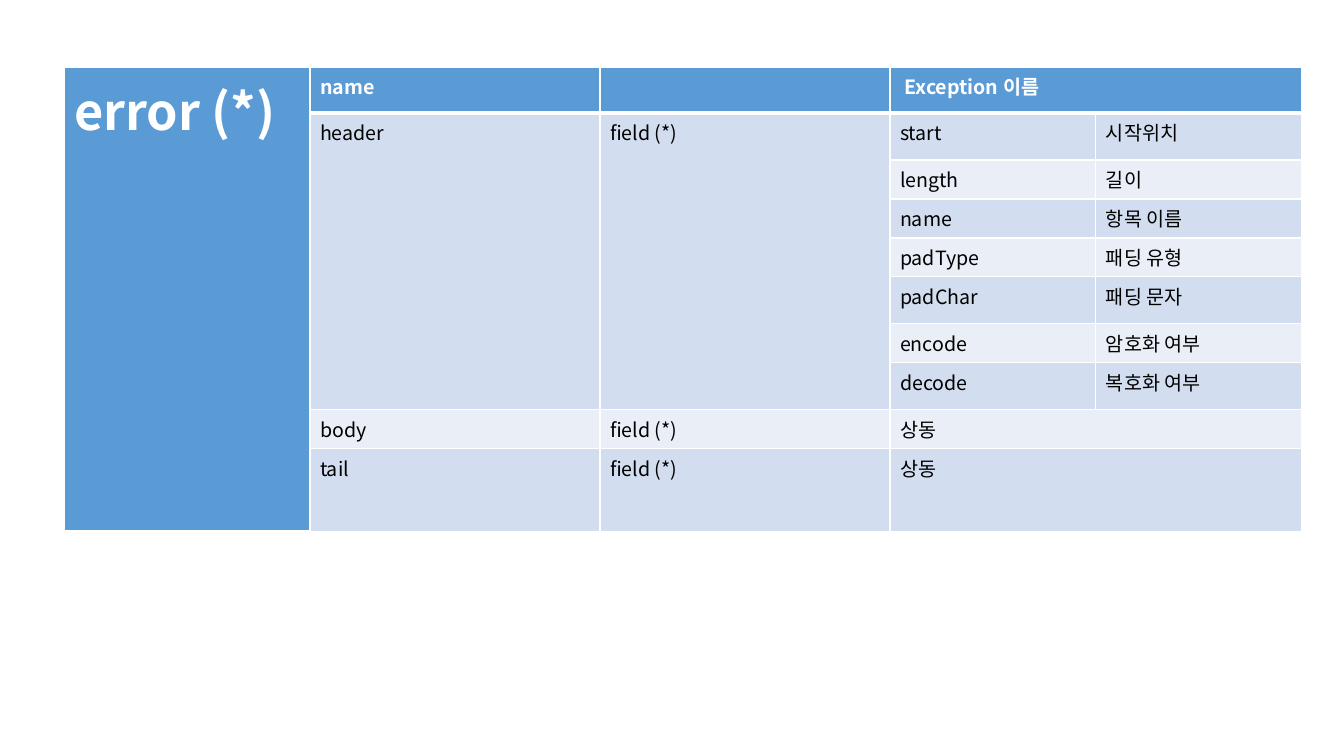
from lxml.etree import SubElement
from pptx import Presentation
from pptx.dml.color import RGBColor
from pptx.oxml.ns import qn
from pptx.util import Emu, Pt

# Content: fields of a section, with their meaning
FIELDS = [
    ("start", "시작위치"),
    ("length", "길이"),
    ("name", "항목 이름"),
    ("padType", "패딩 유형"),
    ("padChar", "패딩 문자"),
    ("encode", "암호화 여부"),
    ("decode", "복호화 여부"),
]
REPEAT = "field (*)"
HEADINGS = ("error (*)", "name", "", " Exception 이름", "")
SECTIONS = [("body", "상동"), ("tail", "상동")]

ROWS = [HEADINGS]
ROWS += [("", "" if i else "header", "" if i else REPEAT, *field)
         for i, field in enumerate(FIELDS)]
ROWS += [("", section, REPEAT, same, "") for section, same in SECTIONS]

# Layout in pixels
LEFT, TOP = 64, 67
COLUMN_WIDTHS = (246, 290, 290, 206, 206)
ROW_HEIGHTS = (46, 47, 39, 39, 39, 47, 39, 47, 39, 82)
LAST_FIELD = len(FIELDS)
LAST_ROW = len(ROWS) - 1
MERGES = [((0, 0), (LAST_ROW, 0)), ((0, 3), (0, 4)),
          ((1, 1), (LAST_FIELD, 1)), ((1, 2), (LAST_FIELD, 2))]
MERGES += [((r, 3), (r, 4)) for r in range(LAST_FIELD + 1, LAST_ROW + 1)]

FONT = "Noto Sans CJK KR"
BLUE, WHITE, BLACK = "5B9BD5", "FFFFFF", "000000"
BANDS = ("EAEFF7", "D2DEEF")


def px(pixels):
    return Emu(round(pixels * 914400 / 100.8))


def color(hex_string):
    return RGBColor.from_string(hex_string)


def set_border(cell, side, points):
    line = SubElement(cell._tc.get_or_add_tcPr(), qn(f"a:ln{side}"), w=str(Pt(points)))
    fill = SubElement(line, qn("a:solidFill"))
    SubElement(fill, qn("a:srgbClr"), val=WHITE)


def format_cell(cell, r, c):
    heading = r == 0 or c == 0
    # Borders, with a thick rule under the headings
    for side in "LRTB":
        thick = (side == "B" and r == 0) or (side == "T" and r == 1)
        set_border(cell, side, 3 if thick else 1)
    cell.fill.solid()
    cell.fill.fore_color.rgb = color(BLUE if heading else BANDS[r % 2])
    # Text
    paragraph = cell.text_frame.paragraphs[0]
    font = paragraph.font
    font.size = Pt(36 if (r, c) == (0, 0) else 14)
    font.bold = heading
    font.color.rgb = color(WHITE if heading else BLACK)
    font.name = FONT
    SubElement(paragraph._p.pPr.find(qn("a:defRPr")), qn("a:ea"), typeface=FONT)


deck = Presentation()
deck.slide_width, deck.slide_height = px(1344), px(756)
slide = deck.slides.add_slide(deck.slide_layouts[6])

# Message structure table
structure = slide.shapes.add_table(
    len(ROWS), len(COLUMN_WIDTHS), px(LEFT), px(TOP),
    px(sum(COLUMN_WIDTHS)), px(sum(ROW_HEIGHTS))).table
for column, width in zip(structure.columns, COLUMN_WIDTHS):
    column.width = px(width)
for row, height in zip(structure.rows, ROW_HEIGHTS):
    row.height = px(height)

for r, texts in enumerate(ROWS):
    for c, text in enumerate(texts):
        cell = structure.cell(r, c)
        if text:
            cell.text = text
        format_cell(cell, r, c)
for first, last in MERGES:
    structure.cell(*first).merge(structure.cell(*last))

deck.save("out.pptx")
